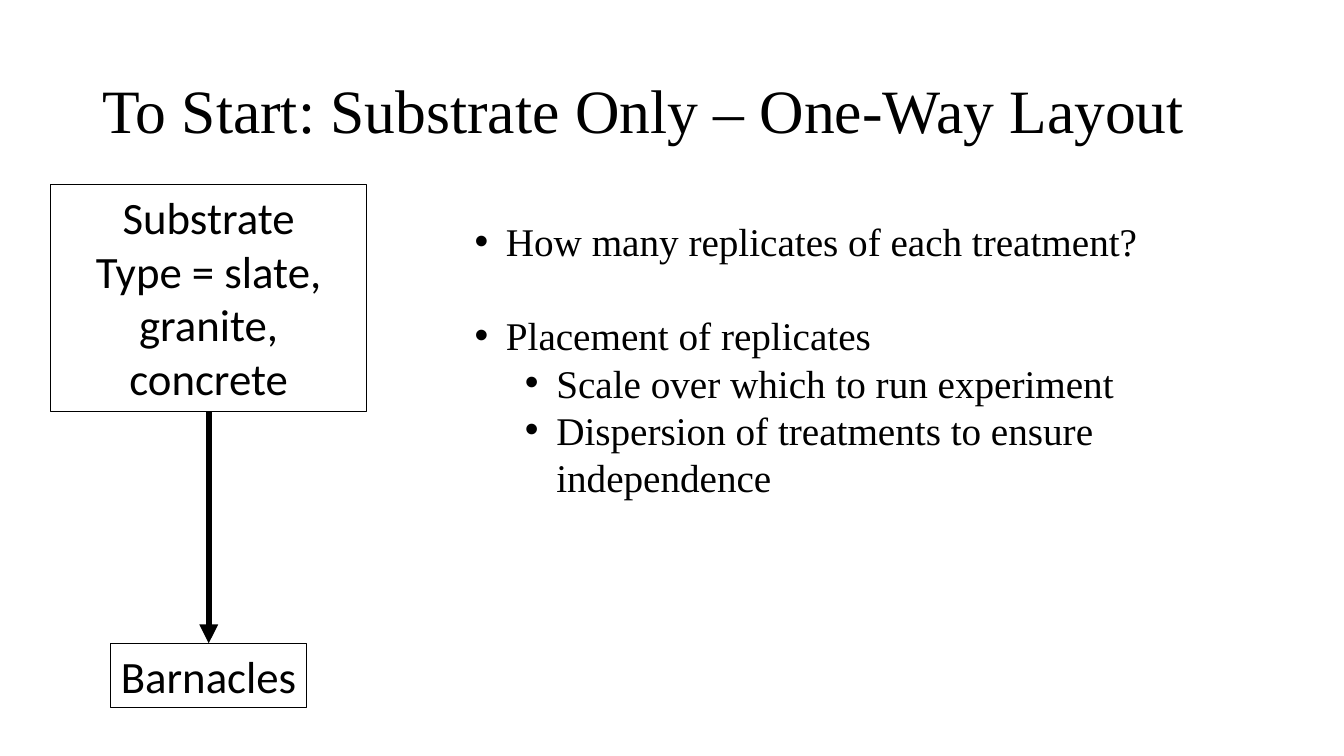
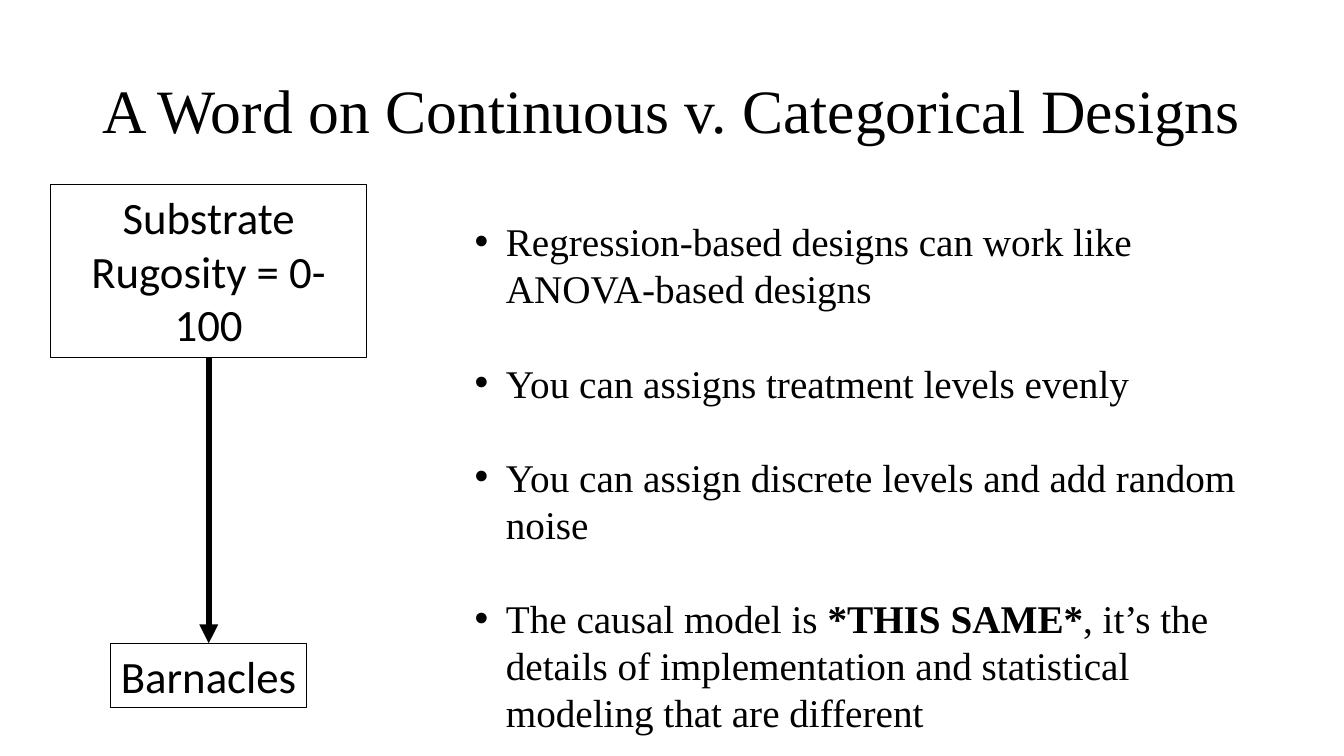
import pptx
import pptx.dml.color
import pptx.enum.shapes
import pptx.enum.text
import pptx.oxml
import pptx.oxml.ns
import pptx.util
from dataclasses import dataclass
from pptx.util import Cm

BLACK = pptx.dml.color.RGBColor(0, 0, 0)
WHITE = pptx.dml.color.RGBColor(255, 255, 255)
SERIF, SANS = "Times New Roman", "Calibri"
TITLE_SIZE, CAUSE_SIZE, POINT_SIZE = 44, 32, 28
LINE_GAP = 33.6  # one line of the bulleted text, in points

# Causal diagram: both boxes are centred on one axis
AXIS_X = 5.26
CAUSE_TOP, CAUSE_WIDTH = 4.65, 7.98
EFFECT_TOP, EFFECT_WIDTH, EFFECT_HEIGHT = 16.21, 4.93, 1.62


@dataclass(frozen=True)
class Span:
    text: str
    bold: bool = False


@dataclass(frozen=True)
class Point:
    spans: tuple[Span, ...]
    level: int = 0
    gap_before: bool = False


@dataclass(frozen=True)
class Design:
    title: str
    cause: tuple[str, ...]
    cause_height: float
    points: tuple[Point, ...]
    points_height: float


DESIGNS = (
    Design(
        "To Start: Substrate Only – One-Way Layout",
        ("Substrate", "Type = slate, granite, concrete"), 5.73,
        (
            Point((Span("How many replicates of each treatment?"),)),
            Point((Span("Placement of replicates"),), gap_before=True),
            Point((Span("Scale over which to run experiment"),), level=1),
            Point((Span("Dispersion of treatments to ensure independence"),), level=1),
        ), 9.83,
    ),
    Design(
        "A Word on Continuous v. Categorical Designs",
        ("Substrate", "Rugosity = 0-100"), 4.36,
        (
            Point((Span("Regression-based designs can work like ANOVA-based designs"),)),
            Point((Span("You can assigns treatment levels evenly"),), gap_before=True),
            Point((Span("You can assign discrete levels and add random noise"),),
                  gap_before=True),
            Point((Span("The causal model is "), Span("*THIS SAME*", bold=True),
                   Span(", it’s the details of implementation and statistical "
                        "modeling that are different")), gap_before=True),
        ), 13.41,
    ),
)


def add_run(paragraph, text: str, font: str, size: float, bold: bool = False) -> None:
    run = paragraph.add_run()
    run.text = text
    run.font.name, run.font.size, run.font.bold = font, pptx.util.Pt(size), bold
    run.font.color.rgb = BLACK


def next_paragraph(frame, index: int):
    return frame.paragraphs[0] if index == 0 else frame.add_paragraph()


def add_title(slide, text: str) -> None:
    title = slide.shapes.add_textbox(Cm(2.33), Cm(1.01), Cm(29.21), Cm(3.68))
    frame = title.text_frame
    frame.word_wrap = True
    frame.vertical_anchor = pptx.enum.text.MSO_ANCHOR.MIDDLE
    frame.paragraphs[0].line_spacing = 0.9
    add_run(frame.paragraphs[0], text, SERIF, TITLE_SIZE)


def add_variable(slide, lines: tuple[str, ...], top: float, width: float,
                 height: float, wrap: bool = True) -> None:
    variable = slide.shapes.add_shape(
        pptx.enum.shapes.MSO_SHAPE.RECTANGLE,
        Cm(AXIS_X - width / 2), Cm(top), Cm(width), Cm(height))
    variable.shadow.inherit = False
    variable.fill.background()
    variable.line.color.rgb = BLACK
    variable.line.width = pptx.util.Pt(0.75)
    frame = variable.text_frame
    frame.word_wrap = wrap
    frame.auto_size = pptx.enum.text.MSO_AUTO_SIZE.SHAPE_TO_FIT_TEXT
    frame.vertical_anchor = pptx.enum.text.MSO_ANCHOR.TOP
    for index, line in enumerate(lines):
        paragraph = next_paragraph(frame, index)
        paragraph.alignment = pptx.enum.text.PP_ALIGN.CENTER
        add_run(paragraph, line, SANS, CAUSE_SIZE)


def add_causal_arrow(slide, top: float, bottom: float) -> None:
    arrow = slide.shapes.add_connector(
        pptx.enum.shapes.MSO_CONNECTOR.STRAIGHT,
        Cm(AXIS_X), Cm(top), Cm(AXIS_X), Cm(bottom))
    arrow.line.color.rgb = BLACK
    arrow.line.width = pptx.util.Pt(4.5)
    head = pptx.oxml.parse_xml(
        f'<a:tailEnd {pptx.oxml.ns.nsdecls("a")} type="triangle"/>')
    arrow.line._get_or_add_ln().append(head)
    arrow._element.spPr.append(
        pptx.oxml.parse_xml(f'<a:effectLst {pptx.oxml.ns.nsdecls("a")}/>'))


def set_bullet(paragraph, level: int) -> None:
    paragraph.level = level
    properties = paragraph._p.get_or_add_pPr()
    properties.set("marL", str(Cm(0.79 + 1.27 * level)))
    properties.set("indent", str(-Cm(0.79)))
    for tag in ('buFont {} typeface="Arial"', 'buChar {} char="•"'):
        properties.append(pptx.oxml.parse_xml(
            f'<a:{tag.format(pptx.oxml.ns.nsdecls("a"))}/>'))


def add_points(slide, points: tuple[Point, ...], height: float) -> None:
    box = slide.shapes.add_textbox(Cm(11.71), Cm(5.36), Cm(19.81), Cm(height))
    frame = box.text_frame
    frame.word_wrap = True
    for index, point in enumerate(points):
        paragraph = next_paragraph(frame, index)
        if point.gap_before:
            paragraph.space_before = pptx.util.Pt(LINE_GAP)
        set_bullet(paragraph, point.level)
        for span in point.spans:
            add_run(paragraph, span.text, SERIF, POINT_SIZE, span.bold)


def add_design_slide(deck, design: Design) -> None:
    slide = deck.slides.add_slide(deck.slide_layouts[6])
    slide.background.fill.solid()
    slide.background.fill.fore_color.rgb = WHITE
    add_title(slide, design.title)
    # Effect, cause and the arrow between them
    add_variable(slide, ("Barnacles",), EFFECT_TOP, EFFECT_WIDTH, EFFECT_HEIGHT, wrap=False)
    add_variable(slide, design.cause, CAUSE_TOP, CAUSE_WIDTH, design.cause_height)
    add_causal_arrow(slide, CAUSE_TOP + design.cause_height, EFFECT_TOP)
    # Discussion points
    add_points(slide, design.points, design.points_height)


def main() -> None:
    deck = pptx.Presentation()
    deck.slide_width, deck.slide_height = Cm(33.87), Cm(19.05)
    for design in DESIGNS:
        add_design_slide(deck, design)
    deck.save("out.pptx")


if __name__ == "__main__":
    main()
